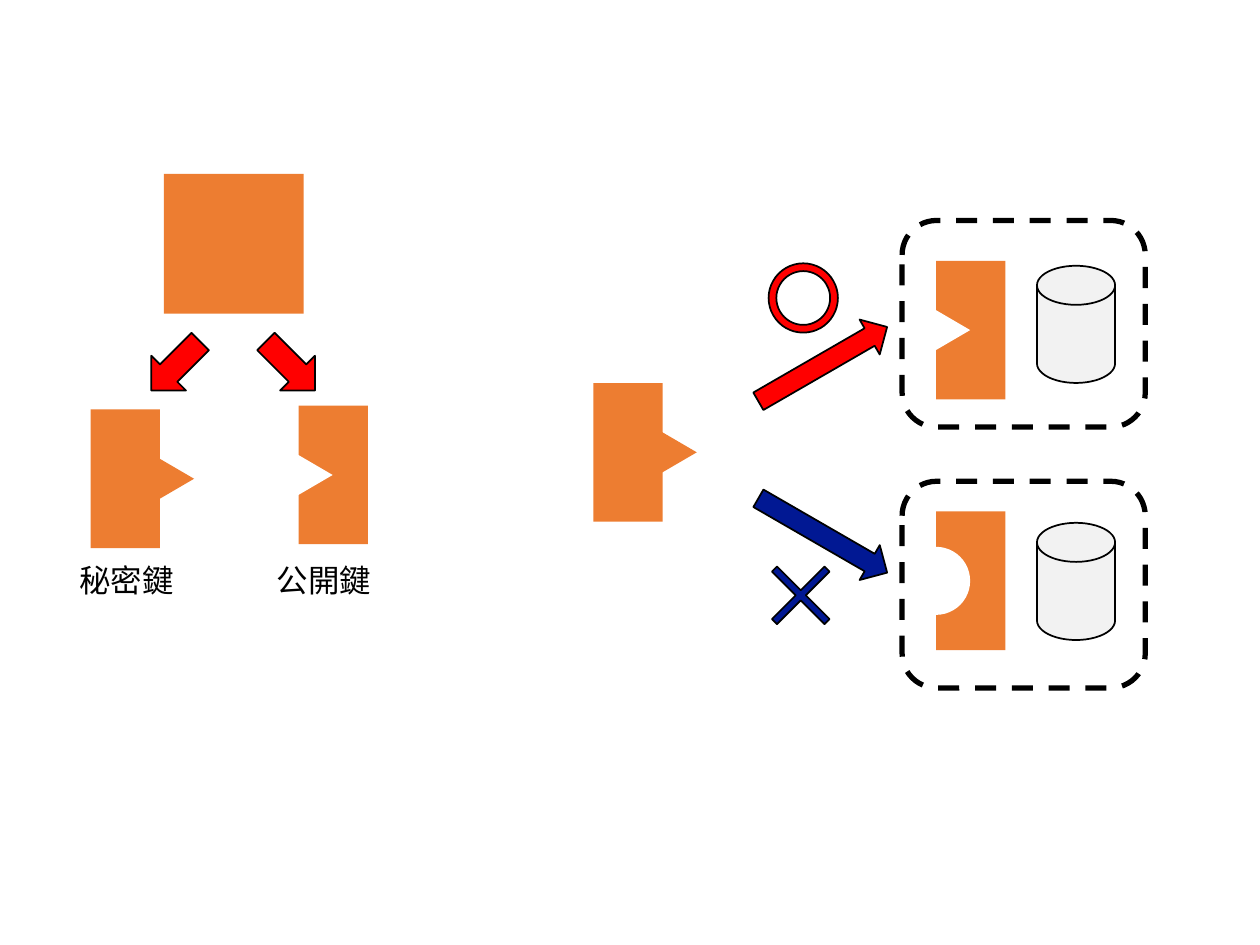
from dataclasses import dataclass

from pptx import Presentation
from pptx import util as u
from pptx.dml.color import RGBColor
from pptx.enum import dml, shapes, text

SHAPE = shapes.MSO_SHAPE


@dataclass(frozen=True)
class Theme:
    key: str = "ED7D31"
    paper: str = "FFFFFF"
    ink: str = "000000"
    allowed: str = "FF0000"
    denied: str = "011893"
    disk: str = "F2F2F2"
    font: str = "Arial"
    label_size: float = 18
    outline: float = 1
    frame_outline: float = 3


def write_text(frame, content, *, font, size, color):
    """Put one formatted line of text into a text frame."""
    paragraph = frame.paragraphs[0]
    run = paragraph.add_run()
    run.text = content
    run.font.name = font
    run.font.size = u.Pt(size)
    run.font.color.rgb = RGBColor.from_string(color)


class KeyDiagram:
    KEY_WIDTH, KEY_HEIGHT = 0.55, 1.1
    TOOTH_LENGTH, TOOTH_WIDTH = 0.54, 0.63

    def __init__(self, slide, theme):
        self.slide = slide
        self.theme = theme

    def shape(self, kind, left, top, width, height, *, fill=None, line=0,
              rotation=0, adjust=None, parent=None):
        owner = (parent or self.slide).shapes
        shape = owner.add_shape(kind, u.Inches(left), u.Inches(top),
                                u.Inches(width), u.Inches(height))
        shape.shadow.inherit = False
        shape.rotation = rotation
        if adjust is not None:
            shape.adjustments[0] = adjust
        if fill:
            shape.fill.solid()
            shape.fill.fore_color.rgb = RGBColor.from_string(fill)
        else:
            shape.fill.background()
        if line:
            shape.line.color.rgb = RGBColor.from_string(self.theme.ink)
            shape.line.width = u.Pt(line)
        else:
            shape.line.fill.background()
        return shape

    def key(self, left, top, cut):
        """Draw a key half whose edge is a tooth, a notch or a round hole."""
        group = self.slide.shapes.add_group_shape()
        self.shape(SHAPE.RECTANGLE, left, top, self.KEY_WIDTH, self.KEY_HEIGHT,
                   fill=self.theme.key, parent=group)
        if cut == "round":
            size = self.TOOTH_LENGTH
            self.shape(SHAPE.OVAL, left - size / 2, top + 0.28, size, size,
                       fill=self.theme.paper, parent=group)
            return
        center = left + (self.KEY_WIDTH if cut == "tooth" else 0)
        color = self.theme.key if cut == "tooth" else self.theme.paper
        self.shape(SHAPE.ISOSCELES_TRIANGLE, center - self.TOOTH_WIDTH / 2,
                   top + 0.28, self.TOOTH_WIDTH, self.TOOTH_LENGTH,
                   fill=color, rotation=90, parent=group)

    def arrow(self, left, top, width, height, rotation, color):
        self.shape(SHAPE.RIGHT_ARROW, left, top, width, height, fill=color,
                   line=self.theme.outline, rotation=rotation)

    def disk(self, left, top):
        self.shape(SHAPE.FLOWCHART_MAGNETIC_DISK, left, top, 0.62, 0.93,
                   fill=self.theme.disk, line=self.theme.outline)

    def frame(self, left, top):
        frame = self.shape(SHAPE.ROUNDED_RECTANGLE, left, top, 1.93, 1.64,
                           line=self.theme.frame_outline)
        frame.line.dash_style = dml.MSO_LINE.DASH

    def mark(self, kind, left, top, size, color, adjust, rotation=0):
        self.shape(kind, left, top, size, size, fill=color,
                   line=self.theme.outline, adjust=adjust, rotation=rotation)

    def label(self, content, left, top):
        box = self.slide.shapes.add_textbox(u.Inches(left), u.Inches(top),
                                            u.Inches(0.96), u.Inches(0.4))
        box.text_frame.word_wrap = False
        box.text_frame.auto_size = text.MSO_AUTO_SIZE.SHAPE_TO_FIT_TEXT
        write_text(box.text_frame, content, font=self.theme.font,
                   size=self.theme.label_size, color=self.theme.ink)


def main():
    presentation = Presentation()
    presentation.slide_width = u.Inches(10)
    presentation.slide_height = u.Inches(7.5)
    slide = presentation.slides.add_slide(presentation.slide_layouts[6])
    theme = Theme()
    diagram = KeyDiagram(slide, theme)

    # One block splits into a private and a public key
    diagram.key(0.72, 3.25, "tooth")
    diagram.key(2.37, 3.22, "notch")
    diagram.shape(SHAPE.RECTANGLE, 1.3, 1.38, 1.11, 1.11, fill=theme.key)
    for left, rotation in ((1.12, 135), (2.03, 45)):
        diagram.arrow(left, 2.71, 0.55, 0.39, rotation, theme.allowed)
    for content, left in (("秘密鍵", 0.53), ("公開鍵", 2.1)):
        diagram.label(content, left, 4.4)

    # The private key is tried on two locked stores
    diagram.key(4.71, 3.04, "tooth")
    stores = (
        # key top, cut, disk top, arrow top, rotation, colour, frame top
        (2.07, "notch", 2.11, 2.73, 330, theme.allowed, 1.75),
        (4.06, "round", 4.15, 4.09, 30, theme.denied, 3.82),
    )
    for key_top, cut, disk_top, arrow_top, rotation, color, frame_top in stores:
        diagram.disk(8.23, disk_top)
        diagram.key(7.43, key_top, cut)
        diagram.arrow(5.94, arrow_top, 1.18, 0.32, rotation, color)
        diagram.frame(7.16, frame_top)

    # Result of each try
    diagram.mark(SHAPE.CROSS, 6.06, 4.43, 0.59, theme.denied, 0.452, 45)
    diagram.mark(SHAPE.DONUT, 6.1, 2.09, 0.55, theme.allowed, 0.112)

    presentation.save("out.pptx")


if __name__ == "__main__":
    main()
